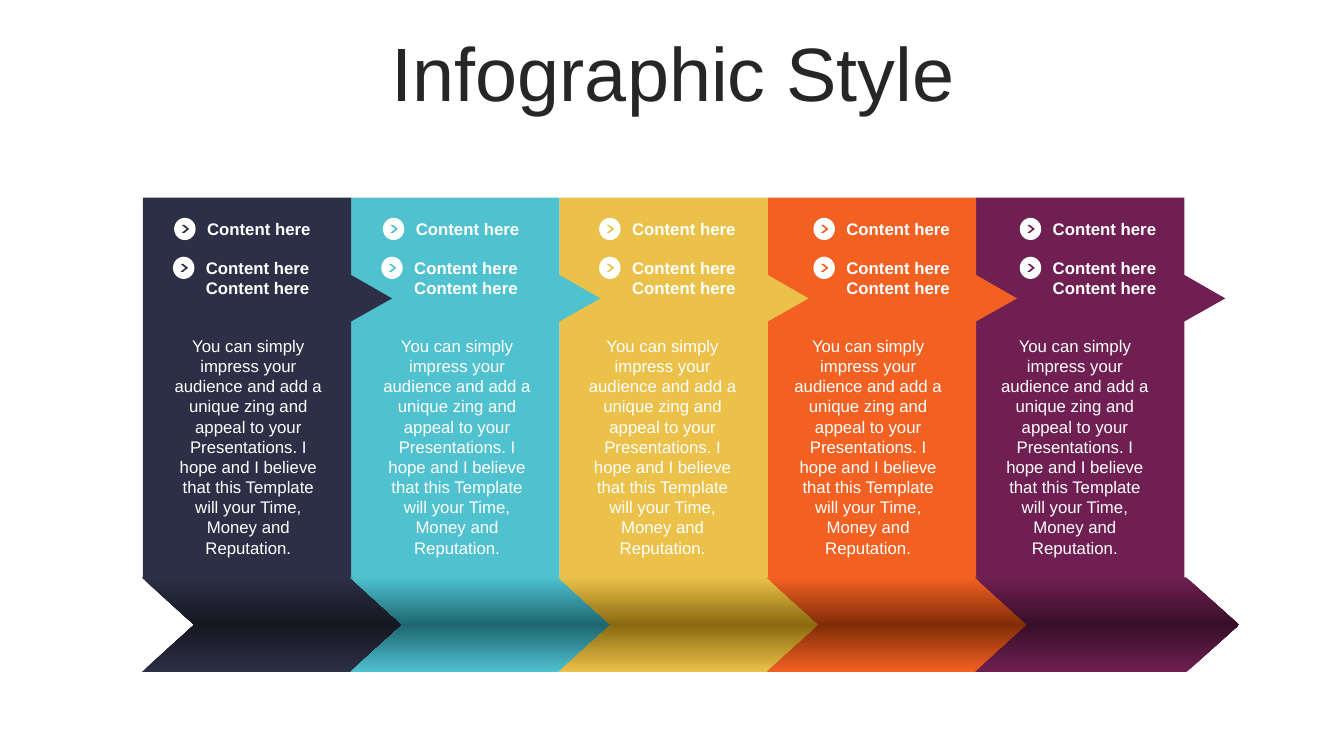
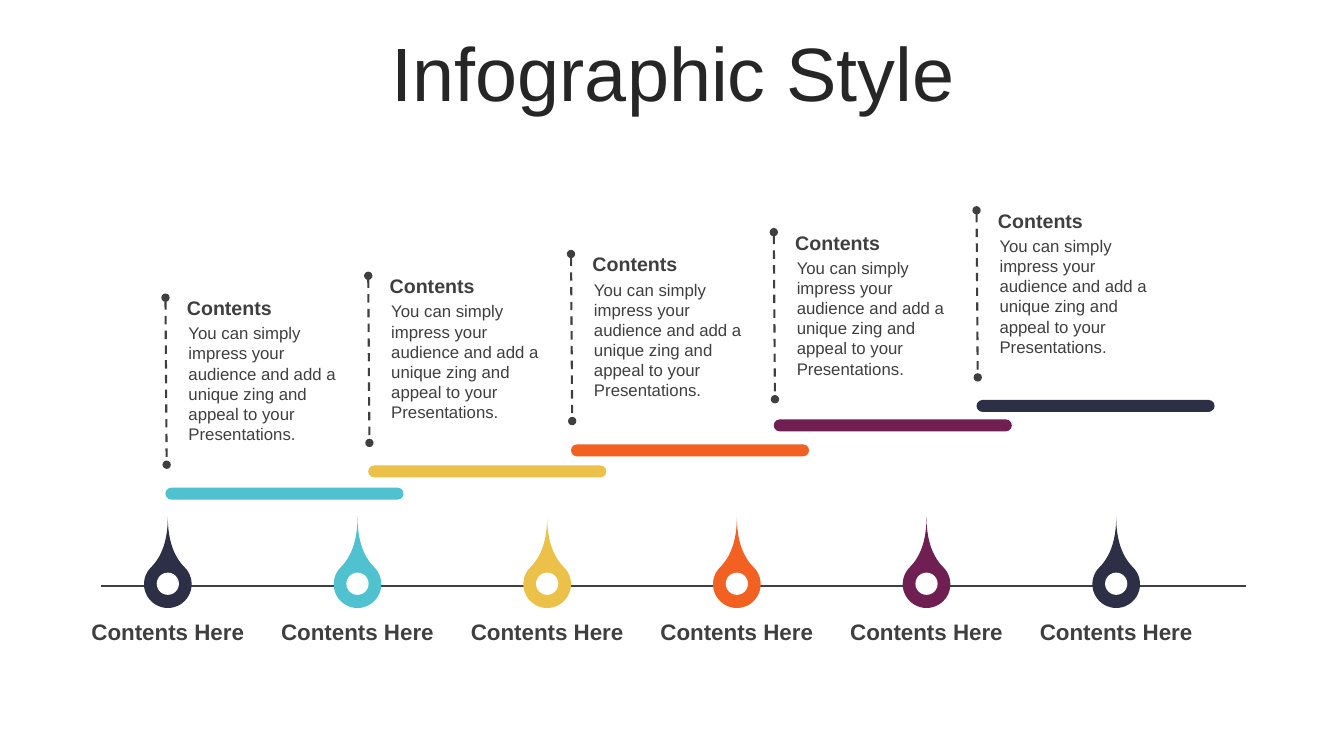
"""Build two infographic slides: an arrow banner row and a pin timeline."""
from copy import deepcopy

from lxml import etree
from pptx import Presentation
from pptx import util as u
from pptx.dml.color import RGBColor
from pptx.enum import dml, shapes, text
from pptx.oxml.ns import qn

NAVY = RGBColor(0x2C, 0x2F, 0x45)
TEAL = RGBColor(0x4F, 0xC1, 0xCF)
GOLD = RGBColor(0xEB, 0xC1, 0x49)
ORANGE = RGBColor(0xF2, 0x61, 0x22)
PLUM = RGBColor(0x6F, 0x1F, 0x51)
DARK_NAVY = RGBColor(0x16, 0x17, 0x22)
DARK_TEAL = RGBColor(0x1E, 0x67, 0x70)
DARK_GOLD = RGBColor(0x8A, 0x6A, 0x0F)
DARK_ORANGE = RGBColor(0x82, 0x2C, 0x07)
DARK_PLUM = RGBColor(0x37, 0x0F, 0x28)
WHITE = RGBColor(0xFF, 0xFF, 0xFF)
INK = RGBColor(0x26, 0x26, 0x26)
GRAY = RGBColor(0x3F, 0x3F, 0x3F)
FONT = "Arial"
TITLE = "Infographic Style"
SHORT_TEXT = ("You can simply impress your audience and add a unique zing "
              "and appeal to your Presentations.")
LONG_TEXT = (SHORT_TEXT + " I hope and I believe that this Template will your "
             "Time, Money and Reputation.")
SHAPE = shapes.MSO_SHAPE
CENTER = text.PP_ALIGN.CENTER
LEFT = text.PP_ALIGN.LEFT

COLUMN_LEFT, COLUMN_WIDTH = 3.6, 5.25
BANNER_OUTLINE = [(5.25, 4.98), (5.25, 6.93), (6.28, 7.52), (5.25, 8.1),
                  (5.25, 14.58), (0, 14.58)]
COLUMNS = [
    (NAVY, DARK_NAVY, 4.39, 4.36, 4.09),
    (TEAL, DARK_TEAL, 9.65, 9.61, 9.35),
    (GOLD, DARK_GOLD, 15.1, 15.1, 14.53),
    (ORANGE, DARK_ORANGE, 20.5, 20.5, 19.71),
    (PLUM, DARK_PLUM, 25.7, 25.7, 24.92),
]
PINS = [NAVY, TEAL, GOLD, ORANGE, PLUM, NAVY]
PIN_CENTER, PIN_PITCH = 4.23, 4.78
STEPS = [(TEAL, 12.29), (GOLD, 11.73), (ORANGE, 11.2), (PLUM, 10.57),
         (NAVY, 10.08)]
STEP_LEFT, STEP_PITCH = 4.17, 5.11
CALLOUT_TOP, CALLOUT_RISE = 7.5, 0.55


def box(x, y, w, h):
    """Turn centimetres into lengths."""
    return [u.Cm(v) for v in (x, y, w, h)]


def style_text(tf, words, size, color, bold=False, align=LEFT):
    """Fill a text frame and format every run alike."""
    tf.word_wrap = True
    tf.text = words
    for p in tf.paragraphs:
        p.alignment = align
        for r in p.runs:
            r.font.name = FONT
            r.font.size = u.Pt(size)
            r.font.bold = bold
            r.font.color.rgb = color


def add_title_slide(prs):
    """Add a slide with the shared title."""
    s = prs.slides.add_slide(prs.slide_layouts[5])
    sp = s.shapes.title
    sp.left, sp.top, sp.width, sp.height = box(0.89, 0.94, 32.16, 2.01)
    tf = sp.text_frame
    style_text(tf, TITLE, 54, INK, align=CENTER)
    tf.auto_size = text.MSO_AUTO_SIZE.NONE
    tf.vertical_anchor = text.MSO_ANCHOR.MIDDLE
    tf.paragraphs[0].line_spacing = 0.9
    return s


def add_text(parent, place, words, size, color, bold=False, align=LEFT,
             anchor=text.MSO_ANCHOR.TOP, insets=(0.25, 0.13)):
    """Add a wrapped text box that grows with its text."""
    tf = parent.add_textbox(*box(*place)).text_frame
    tf.margin_left = tf.margin_right = u.Cm(insets[0])
    tf.margin_top = tf.margin_bottom = u.Cm(insets[1])
    tf.vertical_anchor = anchor
    style_text(tf, words, size, color, bold, align)
    tf.auto_size = text.MSO_AUTO_SIZE.SHAPE_TO_FIT_TEXT


def paint(sp, color):
    """Give a shape a flat fill with no line or shadow."""
    sp.shadow.inherit = False
    sp.fill.solid()
    sp.fill.fore_color.rgb = color
    sp.line.fill.background()


def add_shape(parent, kind, place, color, adj=None):
    """Add a flat preset shape."""
    sp = parent.add_shape(kind, *box(*place))
    paint(sp, color)
    if adj is not None:
        sp.adjustments[0] = adj
    return sp


def add_line(parent, x1, y1, x2, y2, width):
    """Add a straight gray line."""
    cx = parent.add_connector(shapes.MSO_CONNECTOR.STRAIGHT,
                              *box(x1, y1, x2, y2))
    cx.line.color.rgb = GRAY
    cx.line.width = u.Pt(width)
    etree.SubElement(cx._element.spPr, qn("a:effectLst"))
    return cx


def add_banner(parent, x, color):
    """Add a column panel with an arrow on its right side."""
    fb = parent.build_freeform(u.Cm(x), u.Cm(4.98))
    fb.add_line_segments([(u.Cm(x + dx), u.Cm(y)) for dx, y in BANNER_OUTLINE])
    paint(fb.convert_to_shape(), color)


def add_ribbon(parent, x, color, dark):
    """Add a chevron shaded from its colour to dark and back."""
    sp = add_shape(parent, SHAPE.CHEVRON, (x, 14.55, 6.65, 2.39), color, 0.555)
    sp.fill.gradient()
    sp.fill.gradient_angle = 90
    stops = sp._element.spPr.find(".//" + qn("a:gsLst"))
    stops.append(deepcopy(stops[-1]))
    for stop, pos, rgb in zip(sp.fill.gradient_stops, (0, 0.5, 1),
                              (color, dark, color)):
        stop.position = pos
        stop.color.rgb = rgb


def add_bullet(parent, x, y, color, words, height):
    """Add a round arrow marker with bold text beside it."""
    group = parent.add_group_shape().shapes
    add_shape(group, SHAPE.OVAL, (x, y, 0.54, 0.56), WHITE)
    add_shape(group, SHAPE.CHEVRON, (x + 0.19, y + 0.18, 0.19, 0.2), color,
              0.652)
    add_text(group, (x + 0.58, y - 0.11, 3.23, height), words, 12, WHITE,
             True, anchor=text.MSO_ANCHOR.MIDDLE)


def add_pin(parent, cx, color):
    """Add a drop-shaped timeline pin and its label."""
    drop = add_shape(parent, SHAPE.TEAR, (cx - 0.6, 14.12, 1.2, 1.2), color, 2)
    drop.rotation = 315
    add_shape(parent, SHAPE.OVAL, (cx - 0.28, 14.43, 0.56, 0.56), WHITE)
    add_text(parent, (cx - 2.04, 15.57, 4.08, 0.69), "Contents Here", 16,
             GRAY, True, CENTER, insets=(0, 0))


def add_callout(parent, x, y):
    """Add a dashed marker line with a heading and a paragraph."""
    cx = add_line(parent, x, y, x + 0.03, y + 4.21, 1.5)
    cx.line.dash_style = dml.MSO_LINE.DASH
    ln = cx._element.spPr.find(qn("a:ln"))
    for end in ("a:headEnd", "a:tailEnd"):
        etree.SubElement(ln, qn(end), type="oval")
    group = parent.add_group_shape().shapes
    add_text(group, (x + 0.33, y + 0.51, 4.37, 3.33), SHORT_TEXT, 12, GRAY)
    add_text(group, (x + 0.24, y - 0.17, 4.39, 0.86), "Contents", 14, GRAY,
             True, insets=(0.3, 0.13))


def build_banners(prs):
    """Build the slide of five arrow columns."""
    sh = add_title_slide(prs).shapes
    lefts = [COLUMN_LEFT + i * COLUMN_WIDTH for i in range(len(COLUMNS))]
    for x, column in reversed(list(zip(lefts, COLUMNS))):
        add_banner(sh, x, column[0])
    for x, (color, dark, first_x, second_x, text_x) in zip(lefts, COLUMNS):
        add_ribbon(sh, x - 0.03, color, dark)
        add_bullet(sh, first_x, 5.49, color, "Content here", 0.76)
        add_bullet(sh, second_x, 6.47, color, "Content here\nContent here",
                   1.27)
        add_text(sh, (text_x, 8.33, 4.34, 5.89), LONG_TEXT, 12, WHITE,
                 align=CENTER)


def build_timeline(prs):
    """Build the slide of rising steps above a timeline."""
    sh = add_title_slide(prs).shapes
    add_line(sh, 2.54, 14.76, 31.4, 14.76, 1.75)
    for i, color in enumerate(PINS):
        add_pin(sh, PIN_CENTER + i * PIN_PITCH, color)
    for i, (color, y) in enumerate(STEPS):
        x = STEP_LEFT + i * STEP_PITCH
        add_shape(sh, SHAPE.ROUNDED_RECTANGLE, (x, y, 6, 0.3), color, 0.5)
        add_callout(sh, x, CALLOUT_TOP - i * CALLOUT_RISE)


def main():
    """Create and save the presentation."""
    prs = Presentation()
    prs.slide_width, prs.slide_height = u.Cm(33.87), u.Cm(19.05)
    build_banners(prs)
    build_timeline(prs)
    prs.save("out.pptx")


if __name__ == "__main__":
    main()
